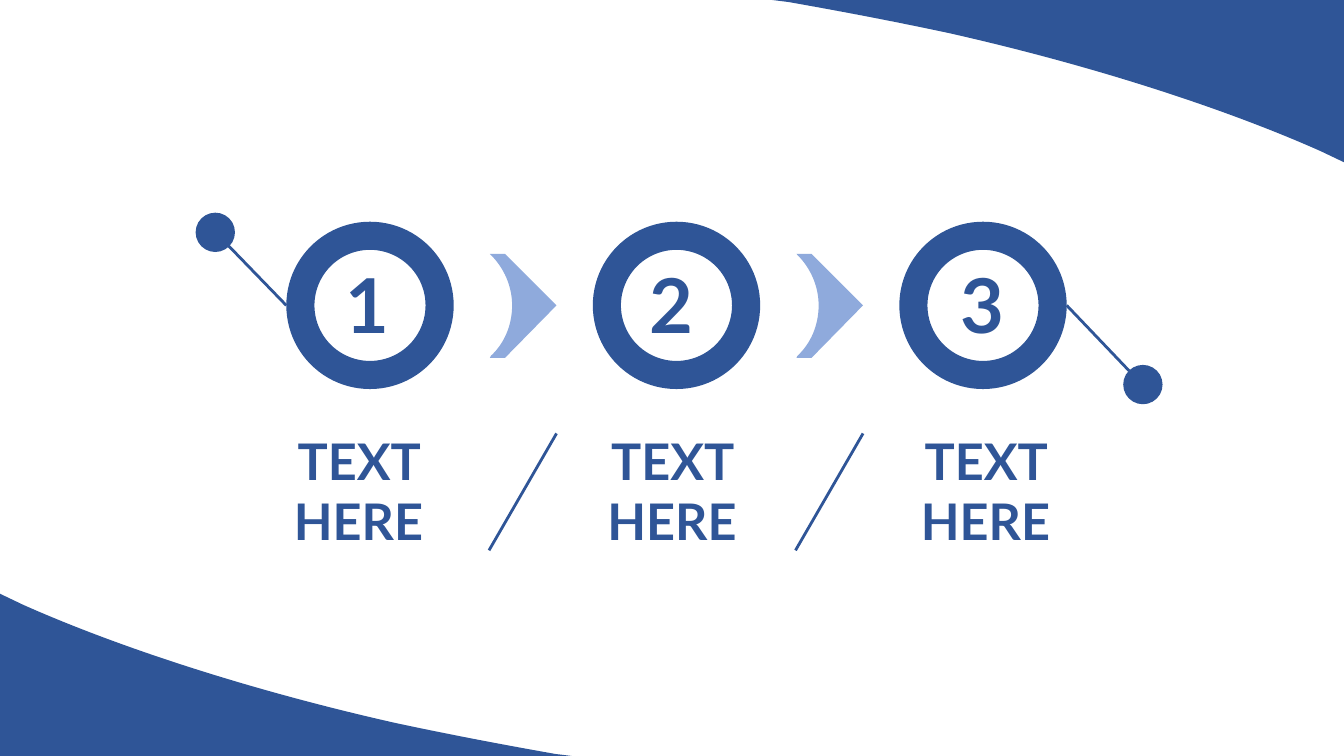
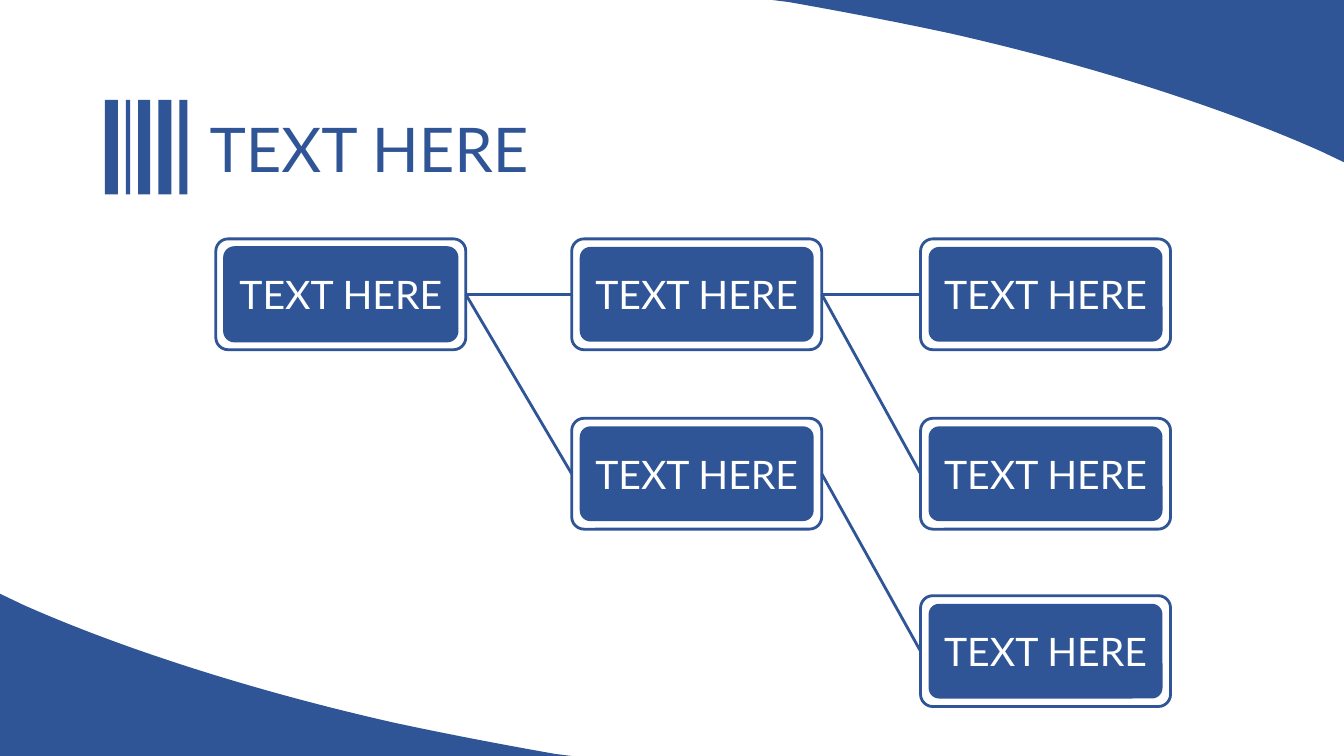
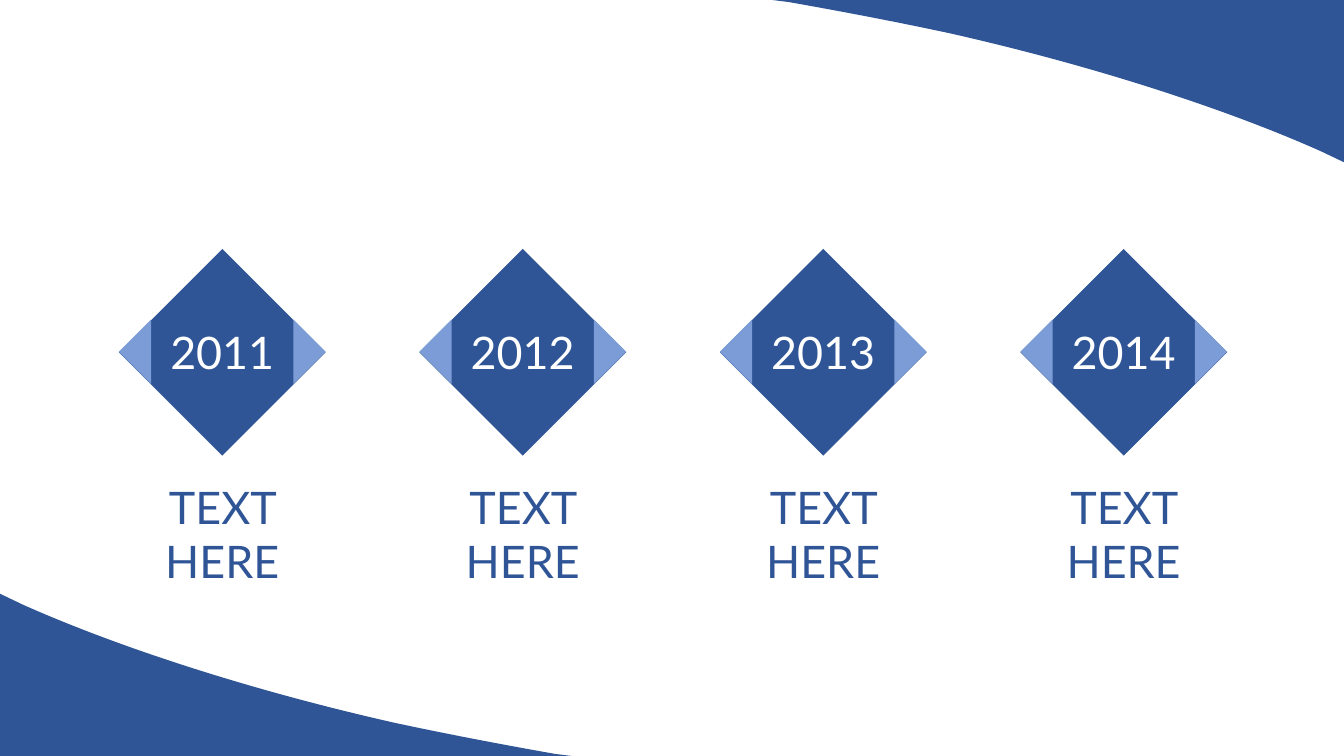
from dataclasses import dataclass
from lxml.etree import Element, SubElement
from pptx import Presentation
from pptx.dml.color import RGBColor
from pptx.enum.shapes import MSO_CONNECTOR, MSO_SHAPE
from pptx.enum.text import MSO_ANCHOR, PP_ALIGN
from pptx.oxml.ns import qn
from pptx.util import Inches, Pt


@dataclass(frozen=True)
class Theme:
    font: str = "Lato"
    blue: str = "2F5597"
    mid: str = "7B9CD7"
    light: str = "8FAADC"
    white: str = "FFFFFF"
    digit: int = 54
    title: int = 44
    label: int = 36
    year: int = 32
    node: int = 28
    line: int = 2
    thin: int = 1


theme = Theme()


def write(frame, text, size, color=theme.blue, bold=False,
          align=PP_ALIGN.CENTER, anchor=MSO_ANCHOR.TOP):
    frame.word_wrap = True
    frame.vertical_anchor = anchor
    para = frame.paragraphs[0]
    para.alignment = align
    run = para.add_run()
    run.text = text
    run.font.name = theme.font
    run.font.size = Pt(size)
    run.font.bold = bold
    run.font.color.rgb = RGBColor.from_string(color)


def paint(shape, fill=None, line=None, width=theme.line):
    if line:
        shape.line.color.rgb = RGBColor.from_string(line)
        shape.line.width = Pt(width)
    else:
        shape.line.fill.background()
    if not hasattr(shape, "fill"):  # connector
        SubElement(shape._element.spPr, qn("a:effectLst"))
        return
    shape.shadow.inherit = False
    if fill:
        shape.fill.solid()
        shape.fill.fore_color.rgb = RGBColor.from_string(fill)
    else:
        shape.fill.background()


deck = Presentation()
wide, high = 13.33, 7.5
deck.slide_width, deck.slide_height = Inches(wide), Inches(high)
steps, tree, years = [deck.slides.add_slide(deck.slide_layouts[6]).shapes
                      for _ in range(3)]

# Outlines: two numbers are a corner, six are a Bezier curve
swoosh = [(0, 5.89), (0.23, 6), (1.15, 6.41, 2.45, 6.84, 3.91, 7.17),
          (4.47, 7.29, 5, 7.39, 5.51, 7.48), (5.67, 7.5), (0, 7.5)]
arrow = [(0, 0), (0.15, 0), (0.66, 0.51), (0.15, 1.03), (0, 1.03), (0.01, 1.01),
         (0.14, 0.89, 0.22, 0.71, 0.22, 0.51), (0.22, 0.32, 0.14, 0.14, 0.01, 0.01)]
gap = 3.04

# Curved shapes: outline, corner it starts from, direction, colour
curves = []
for page in (steps, tree, years):
    curves.append((page, swoosh, 0, 0, 1, theme.blue))
    curves.append((page, swoosh, wide, high, -1, theme.blue))
for i in range(2):
    curves.append((steps, arrow, 4.86 + gap * i, 2.52, 1, theme.light))
for page, outline, left, top, sign, color in curves:
    path = [[(Inches(left + sign * x), Inches(top + sign * y))
             for x, y in zip(step[::2], step[1::2])] for step in outline]
    form = page.build_freeform(*path[0][-1])
    form.add_line_segments([step[-1] for step in path[1:]])
    form = form.convert_to_shape()
    for part, step in zip(list(form._element.iter(qn("a:lnTo"))), path[1:]):
        if len(step) == 3:
            part.tag = qn("a:cubicBezTo")
            for i, (x, y) in enumerate(step[:2]):
                part.insert(i, Element(qn("a:pt"), x=str(x - form.left),
                                       y=str(y - form.top)))
    paint(form, color)

# Steps: rings
for i in range(3):
    ring = steps.add_shape(MSO_SHAPE.DONUT, Inches(2.84 + gap * i), Inches(2.2),
                           Inches(1.66), Inches(1.66))
    ring.adjustments[0] = 0.168
    paint(ring, theme.blue)

# Steps: numbers and labels in one-cell tables
cells = [(str(i + 1), left, 2.52, 0.98, 0.98, theme.digit)
         for i, left in enumerate((3.15, 6.17, 9.25))]
cells += [("TEXT HERE", 2.26 + 3.11 * i, 4.03, 2.59, 1.68, theme.label)
          for i in range(3)]
for text, *area, size in cells:
    grid = steps.add_table(1, 1, *map(Inches, area))
    for style in grid._element.iter(qn("a:tableStyleId")):
        style.text = "{2D5ABB26-0587-4C30-8999-92F81FD0307C}"  # no style, no grid
    grid.table.first_row = grid.table.horz_banding = False
    cell = grid.table.cell(0, 0)
    cell.fill.background()
    cell.vertical_anchor = MSO_ANCHOR.MIDDLE
    write(cell.text_frame, text, size, bold=True)

# Steps: slashes, then stems with end dots
lines = [(5.52 + gap * i, 4.3, 4.85 + gap * i, 5.46) for i in range(2)]
lines += [(2.84, 3.03, 2.22, 2.39), (10.58, 3.03, 11.2, 3.68)]
for ends in lines:
    paint(steps.add_connector(MSO_CONNECTOR.STRAIGHT, *map(Inches, ends)), line=theme.blue)
for left, top in ((1.94, 2.11), (11.14, 3.62)):
    dot = steps.add_shape(MSO_SHAPE.OVAL, Inches(left), Inches(top),
                          Inches(0.39), Inches(0.39))
    paint(dot, theme.blue)

# Tree: title with bars
for left, span in ((1.04, 0.13), (1.25, 0.04), (1.37, 0.12), (1.57, 0.13), (1.78, 0.08)):
    bar = tree.add_shape(MSO_SHAPE.RECTANGLE, Inches(left), Inches(0.99),
                         Inches(span), Inches(0.94))
    paint(bar, theme.blue)
box = tree.add_textbox(Inches(1.98), Inches(1.05), Inches(3.69), Inches(0.84))
write(box.text_frame, "TEXT HERE", theme.title, align=PP_ALIGN.LEFT)

# Tree: framed nodes by column and row
cols, rows = (2.14, 5.67, 9.13), (2.37, 4.15, 5.91)
pad = 0.08
nodes = {}
for col, row in ((0, 0), (1, 0), (2, 0), (1, 1), (2, 1), (2, 2)):
    for inset in (0, pad):
        node = tree.add_shape(MSO_SHAPE.ROUNDED_RECTANGLE,
                              Inches(cols[col] + inset), Inches(rows[row] + inset),
                              Inches(2.48 - 2 * inset), Inches(1.1 - 2 * inset))
        node.adjustments[0] = 0.111
        if inset:
            edge = theme.blue if col == 0 else None
            paint(node, theme.blue, edge, theme.thin)
            write(node.text_frame, "TEXT HERE", theme.node, theme.white,
                  anchor=MSO_ANCHOR.MIDDLE)
        else:
            paint(node, line=theme.blue)
            nodes[col, row] = node

# Tree: links from right side to left side
for start, end in (((0, 0), (1, 0)), ((1, 0), (2, 0)), ((0, 0), (1, 1)),
                   ((1, 0), (2, 1)), ((1, 1), (2, 2))):
    link = tree.add_connector(MSO_CONNECTOR.STRAIGHT, 0, 0, 0, 0)
    link.begin_connect(nodes[start], 3)
    link.end_connect(nodes[end], 1)
    paint(link, line=theme.blue)

# Years: diamonds with light tips, year and label
side, tip, mid = 2.05, 0.32, 3.49
for i in range(4):
    left = 1.18 + 2.98 * i
    gem = years.add_shape(MSO_SHAPE.DIAMOND, Inches(left), Inches(2.47),
                          Inches(side), Inches(side))
    paint(gem, theme.blue)
    box = years.add_textbox(Inches(left + 0.34), Inches(3.17), Inches(1.37), Inches(0.64))
    write(box.text_frame, str(2011 + i), theme.year, theme.white)
    for point, base in ((left + side, left + side - tip), (left, left + tip)):
        form = years.build_freeform(Inches(base), Inches(mid - tip))
        form.add_line_segments([(Inches(point), Inches(mid)),
                                (Inches(base), Inches(mid + tip))])
        paint(form.convert_to_shape(), theme.mid)
    box = years.add_textbox(Inches(left + 0.08), Inches(4.71), Inches(1.89), Inches(1.18))
    write(box.text_frame, "TEXT HERE", theme.year)

deck.save("out.pptx")
